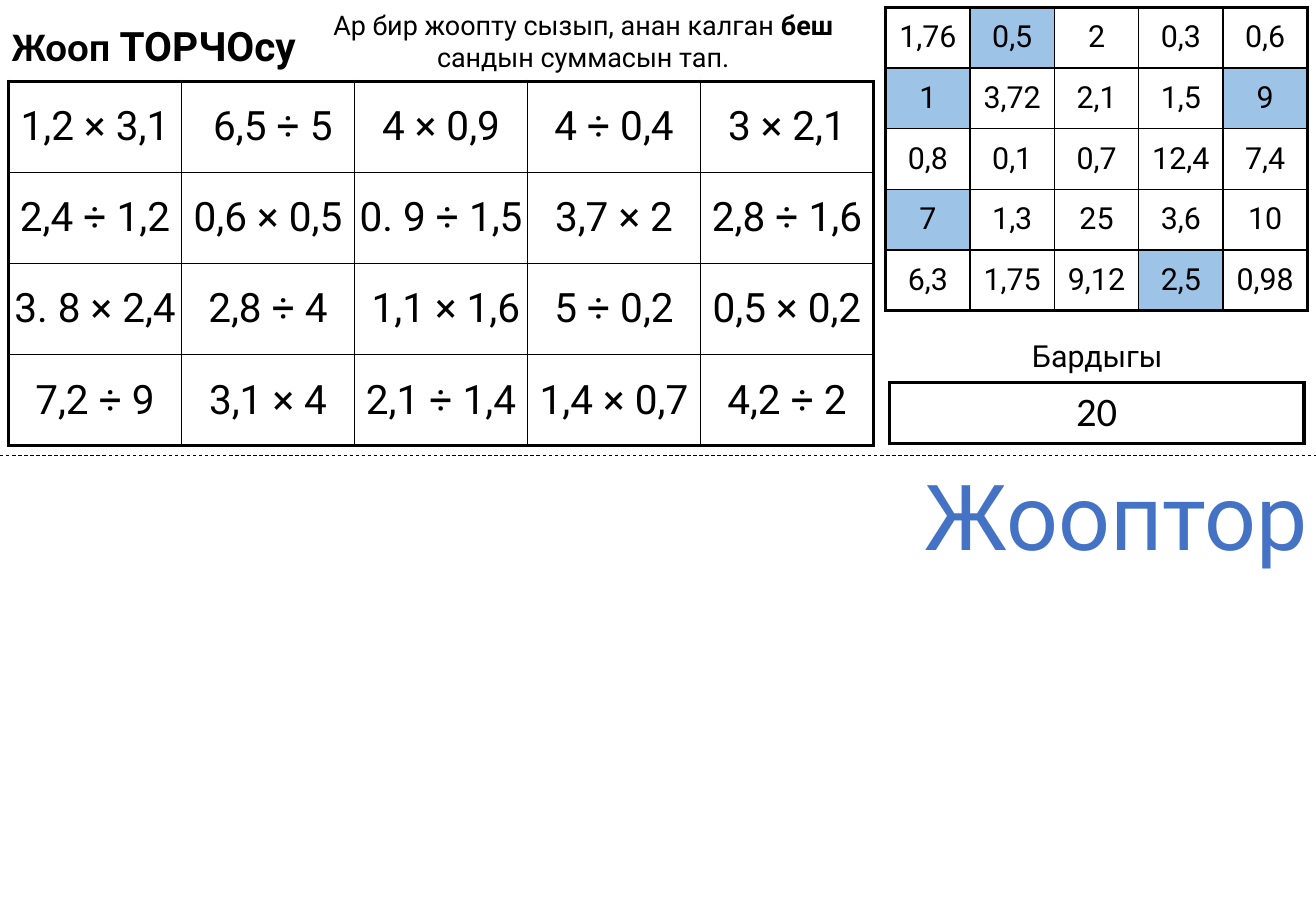
from dataclasses import dataclass

from lxml import etree
from pptx import Presentation
from pptx.dml.color import RGBColor
from pptx.enum.dml import MSO_LINE
from pptx.enum.shapes import MSO_CONNECTOR
from pptx.enum.text import MSO_ANCHOR, MSO_AUTO_SIZE, PP_ALIGN
from pptx.oxml.ns import qn
from pptx.util import Emu, Inches, Pt

LEFT, CENTER = PP_ALIGN.LEFT, PP_ALIGN.CENTER
MIDDLE, TOP = MSO_ANCHOR.MIDDLE, MSO_ANCHOR.TOP
WIDTH, HEIGHT = Inches(10.83), Inches(7.5)
COLORS = {"ink": "000000", "paper": "FFFFFF", "mark": "9DC3E6", "key": "4472C4"}
THICK, THIN = 2.25, 1
NUDGE = Inches(0.08)


@dataclass(frozen=True)
class Box:
    """A place in hundredths of the slide's width and height."""
    x: float
    y: float
    w: float
    h: float

    def place(self) -> tuple[Emu, Emu, Emu, Emu]:
        return (Emu(round(self.x * WIDTH / 100)), Emu(round(self.y * HEIGHT / 100)),
                Emu(round(self.w * WIDTH / 100)), Emu(round(self.h * HEIGHT / 100)))


@dataclass(frozen=True)
class Span:
    text: str
    bold: bool = False
    font: str = "Roboto"


@dataclass(frozen=True)
class Label:
    box: Box
    lines: tuple[tuple[Span, ...], ...]
    size: float
    align: PP_ALIGN = CENTER
    color: str = "ink"
    wrap: bool = True


@dataclass(frozen=True)
class Grid:
    """Rows of cell text; marked cells are shaded, nudged ones sit a little to the right."""
    box: Box
    rows: tuple[tuple[str, ...], ...]
    size: float
    font: str = "Roboto"
    marked: tuple[str, ...] = ()
    nudged: tuple[str, ...] = ()


TITLE = Label(Box(0, 1.6, 53.74, 6.67),
              ((Span("Жооп ", True, "Calibri"), Span("ТОРЧОсу", True)),), 24, LEFT)
LABELS = (
    Label(Box(68.05, 36.4, 30.66, 5.33), ((Span("Бардыгы"),),), 18),
    Label(Box(20.96, 0.27, 46.72, 8.53),
          ((Span("Ар бир жоопту сызып, анан калган "), Span("беш", True)),
           (Span("сандын суммасын тап."),)), 16),
    Label(Box(69.34, 49.73, 31.3, 13.47), ((Span("Жооптор"),),), 54, LEFT, "key", False),
)
GRIDS = (
    Grid(Box(67.31, 0.8, 32.04, 33.33), (
        ("1,76", "0,5", "2", "0,3", "0,6"),
        ("1", "3,72", "2,1", "1,5", "9"),
        ("0,8", "0,1", "0,7", "12,4", "7,4"),
        ("7", "1,3", "25", "3,6", "10"),
        ("6,3", "1,75", "9,12", "2,5", "0,98"),
    ), 18, marked=("0,5", "1", "9", "7", "2,5")),
    Grid(Box(0.65, 8.93, 65.74, 40), (
        ("1,2 × 3,1", "6,5 ÷ 5", "4 × 0,9", "4 ÷ 0,4", "3 × 2,1"),
        ("2,4 ÷ 1,2", "0,6 × 0,5", "0. 9 ÷ 1,5", "3,7 × 2", "2,8 ÷ 1,6"),
        ("3. 8 × 2,4", "2,8 ÷ 4", "1,1 × 1,6", "5 ÷ 0,2", "0,5 × 0,2"),
        ("7,2 ÷ 9", "3,1 × 4", "2,1 ÷ 1,4", "1,4 × 0,7", "4,2 ÷ 2"),
    ), 24, nudged=("6,5 ÷ 5", "1,1 × 1,6")),
    Grid(Box(67.59, 42, 31.49, 6.67), (("20",),), 24, "Calibri"),
)


def tint(name: str) -> RGBColor:
    return RGBColor.from_string(COLORS[name])


def style(run, size: float, font: str, color: str, bold: bool = False) -> None:
    run.font.size, run.font.name, run.font.bold = Pt(size), font, bold
    run.font.color.rgb = tint(color)


def write(shape, label: Label) -> None:
    """Puts the label's place and text into a text box or placeholder."""
    shape.left, shape.top, shape.width, shape.height = label.box.place()
    frame = shape.text_frame
    frame.word_wrap = label.wrap
    frame.auto_size = MSO_AUTO_SIZE.SHAPE_TO_FIT_TEXT
    frame.vertical_anchor = TOP
    para = frame.paragraphs[0]
    para.alignment, para.line_spacing, para.space_before = label.align, 1.0, Pt(0)
    for i, line in enumerate(label.lines):
        if i:
            para.add_line_break()
        for span in line:
            run = para.add_run()
            run.text = span.text
            style(run, label.size, span.font, label.color, span.bold)


def edge(cell, sides: dict[str, float]) -> None:
    """Draws the cell's borders, given as widths in points by side."""
    props = cell._tc.get_or_add_tcPr()
    for i, (side, width) in enumerate(sides.items()):
        line = etree.Element(qn(f"a:ln{side}"), w=str(Pt(width)))
        fill = etree.SubElement(line, qn("a:solidFill"))
        etree.SubElement(fill, qn("a:srgbClr"), val=COLORS["ink"])
        props.insert(i, line)


def draw_grid(slide, grid: Grid) -> None:
    high, wide = len(grid.rows), len(grid.rows[0])
    table = slide.shapes.add_table(high, wide, *grid.box.place()).table
    table.first_row = table.horz_banding = False
    for r, row in enumerate(grid.rows):
        for c, text in enumerate(row):
            cell = table.cell(r, c)
            cell.margin_left = NUDGE if text in grid.nudged else 0
            cell.margin_right = cell.margin_top = cell.margin_bottom = 0
            cell.vertical_anchor = MIDDLE
            cell.fill.solid()
            cell.fill.fore_color.rgb = tint("mark" if text in grid.marked else "paper")
            ends = {"L": c == 0, "R": c == wide - 1, "T": r == 0, "B": r == high - 1}
            edge(cell, {side: THICK if end else THIN for side, end in ends.items()})
            para = cell.text_frame.paragraphs[0]
            para.text, para.alignment = text, CENTER
            style(para.runs[0], grid.size, grid.font, "ink")


def draw_cut(slide) -> None:
    """Draws the dashed cutting line across the middle of the slide."""
    x, y, w, _ = Box(0, 50, 100, 0).place()
    cut = slide.shapes.add_connector(MSO_CONNECTOR.STRAIGHT, x, y, w, y)
    cut.line.color.rgb, cut.line.width = tint("ink"), Pt(0.5)
    cut.line.dash_style = MSO_LINE.DASH
    etree.SubElement(cut._element.spPr, qn("a:effectLst"))


def main() -> None:
    deck = Presentation()
    deck.slide_width, deck.slide_height = WIDTH, HEIGHT
    slide = deck.slides.add_slide(deck.slide_layouts[5])
    write(slide.shapes.title, TITLE)
    for grid in GRIDS:
        draw_grid(slide, grid)
    draw_cut(slide)
    for label in LABELS:
        write(slide.shapes.add_textbox(*label.box.place()), label)
    deck.save("out.pptx")


if __name__ == "__main__":
    main()
